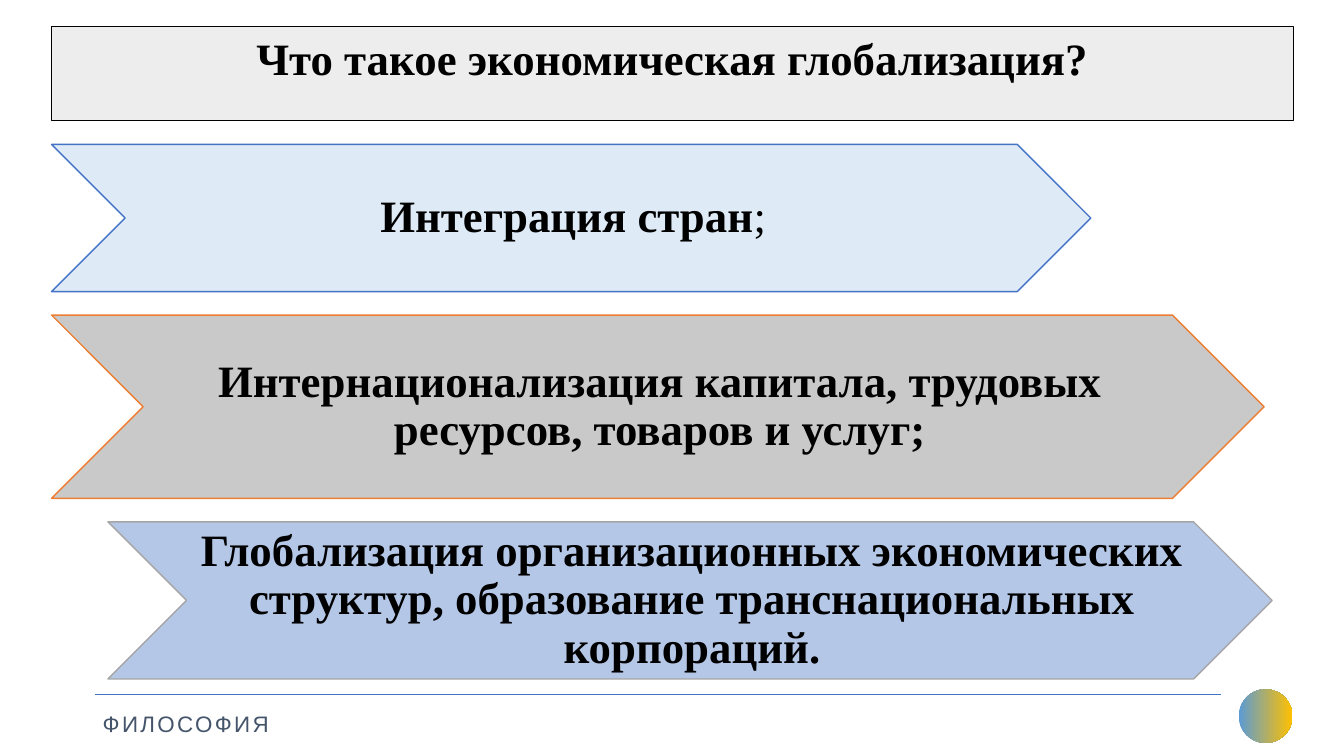
from pptx import Presentation
from pptx.dml.color import RGBColor as RGB
from pptx.enum.shapes import MSO_CONNECTOR as CONN, MSO_SHAPE as SHAPE
from pptx.enum.text import MSO_ANCHOR as ANCHOR, MSO_AUTO_SIZE as AUTO, PP_ALIGN as ALIGN
from pptx.util import Cm, Pt
from lxml.etree import SubElement
from pptx.oxml.ns import qn

TITLE = "Что такое экономическая глобализация?"
FOOTER = "ФИЛОСОФИЯ"
# left, width, height (cm), fill, line, bold text, plain ending
CHEVRONS = [
    (1.3, 26.19, 3.71, "DEEBF7", "4472C4", "Интеграция стран", ";"),
    (1.3, 30.56, 4.62, "C9C9C9", "ED7D31",
     "Интернационализация капитала, трудовых ресурсов, товаров и услуг;", ""),
    (2.72, 29.34, 3.96, "B4C7E7", "A5A5A5",
     "Глобализация организационных экономических структур, "
     "образование транснациональных корпораций.", ""),
]
TITLE_BOX = (1.3, 0.66, 31.29, 2.39)
GAP = 0.59

THEME = {
    "font": "Times New Roman", "size": 32, "text": "000000",
    "footer_font": "Arial", "footer_size": 16, "footer": "44546A",
    "title_fill": "EDEDED", "title_line": "000000", "rule": "4472C4",
    "disc": ("5B9BD5", "FFC000"),
}


def color(hex_code):
    return RGB.from_string(hex_code)


def set_margins(tf, left, top, right, bottom):
    tf.margin_left, tf.margin_top = Cm(left), Cm(top)
    tf.margin_right, tf.margin_bottom = Cm(right), Cm(bottom)


def add_panel(shapes, kind, box, fill, line, line_width, text, ending=""):
    """Filled, outlined shape with centred bold text and an optional plain ending."""
    s = shapes.add_shape(kind, *map(Cm, box))
    s.shadow.inherit = False
    s.fill.solid()
    s.fill.fore_color.rgb = color(fill)
    s.line.color.rgb = color(line)
    s.line.width = Pt(line_width)
    tf = s.text_frame
    tf.word_wrap = True
    p = tf.paragraphs[0]
    p.alignment = ALIGN.CENTER
    p.font.name, p.font.size = THEME["font"], Pt(THEME["size"])
    p.font.color.rgb = color(THEME["text"])
    for part, bold in ((text, True), (ending, False)):
        if part:
            r = p.add_run()
            r.text, r.font.bold = part, bold
    return tf


def add_chevrons(shapes):
    top = TITLE_BOX[1] + TITLE_BOX[3] + GAP
    for left, width, height, fill, line, text, ending in CHEVRONS:
        tf = add_panel(shapes, SHAPE.CHEVRON, (left, top, width, height),
                       fill, line, 1, text, ending)
        tf.vertical_anchor = ANCHOR.MIDDLE
        tf.paragraphs[0].line_spacing = 0.9
        set_margins(tf, 0.1, 0.05, 0, 0.05)
        top += height + GAP


def add_footer(shapes):
    disc = shapes.add_shape(SHAPE.OVAL, Cm(31.22), Cm(17.37), Cm(1.35), Cm(1.35))
    disc.shadow.inherit = False
    disc.line.fill.background()
    disc.fill.gradient()
    disc.fill.gradient_angle = 0
    for stop, hex_code in zip(disc.fill.gradient_stops, THEME["disc"]):
        stop.color.rgb = color(hex_code)

    rule = shapes.add_connector(CONN.STRAIGHT, Cm(2.39), Cm(17.5), Cm(30.78), Cm(17.5))
    rule.line.color.rgb = color(THEME["rule"])
    rule.line.width = Pt(0.5)
    SubElement(rule.element.spPr, qn("a:effectLst"))

    tf = shapes.add_textbox(Cm(2.49), Cm(17.5), Cm(4.52), Cm(1.12)).text_frame
    tf.word_wrap = False
    tf.auto_size = AUTO.SHAPE_TO_FIT_TEXT
    tf.vertical_anchor = ANCHOR.MIDDLE
    set_margins(tf, 0.1, 0.1, 0.1, 0.1)
    p = tf.paragraphs[0]
    p.line_spacing = 1.5
    p.font.name, p.font.size = THEME["footer_font"], Pt(THEME["footer_size"])
    p.font.color.rgb = color(THEME["footer"])
    r = p.add_run()
    r.text = FOOTER
    r.font._element.set("spc", "170")


def main():
    prs = Presentation()
    prs.slide_width, prs.slide_height = Cm(33.87), Cm(19.05)
    shapes = prs.slides.add_slide(prs.slide_layouts[6]).shapes
    add_footer(shapes)
    title = add_panel(shapes, SHAPE.RECTANGLE, TITLE_BOX, THEME["title_fill"],
                      THEME["title_line"], 0.75, TITLE)
    title.vertical_anchor = ANCHOR.TOP
    add_chevrons(shapes)
    prs.save("out.pptx")


if __name__ == "__main__":
    main()
